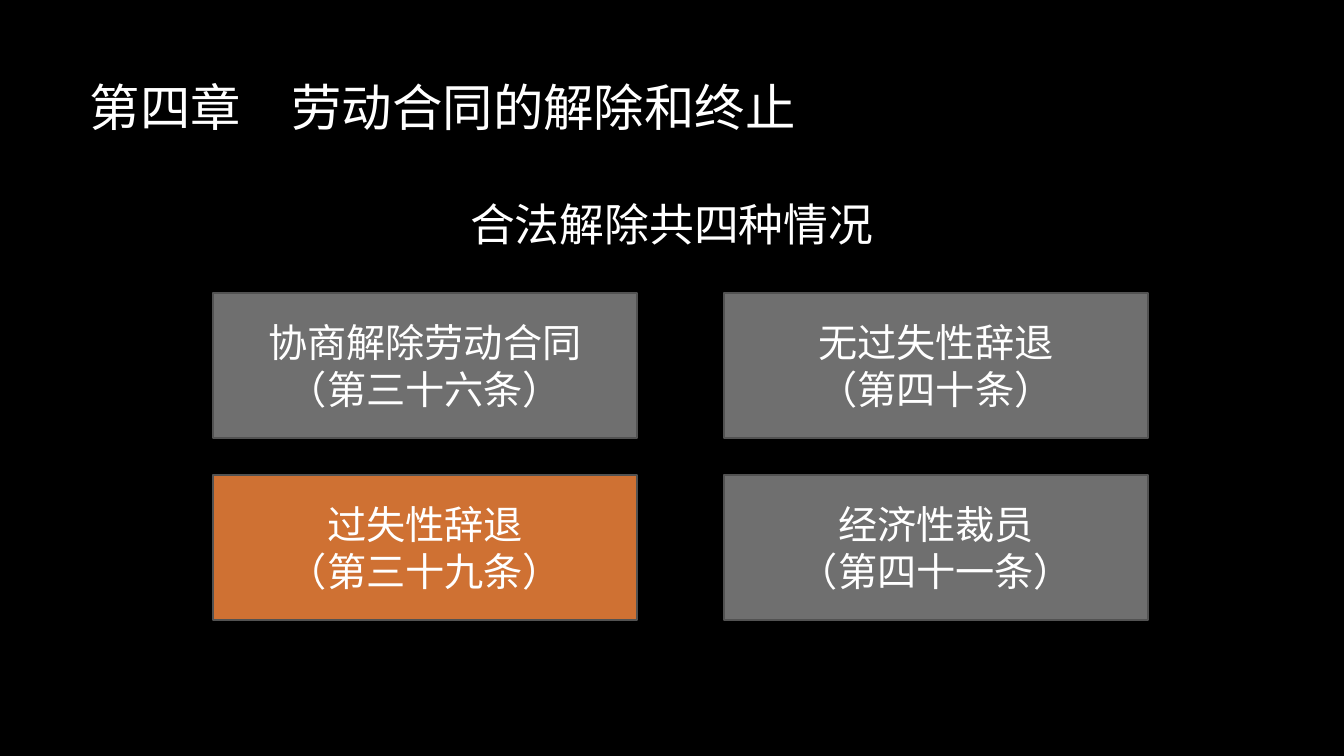
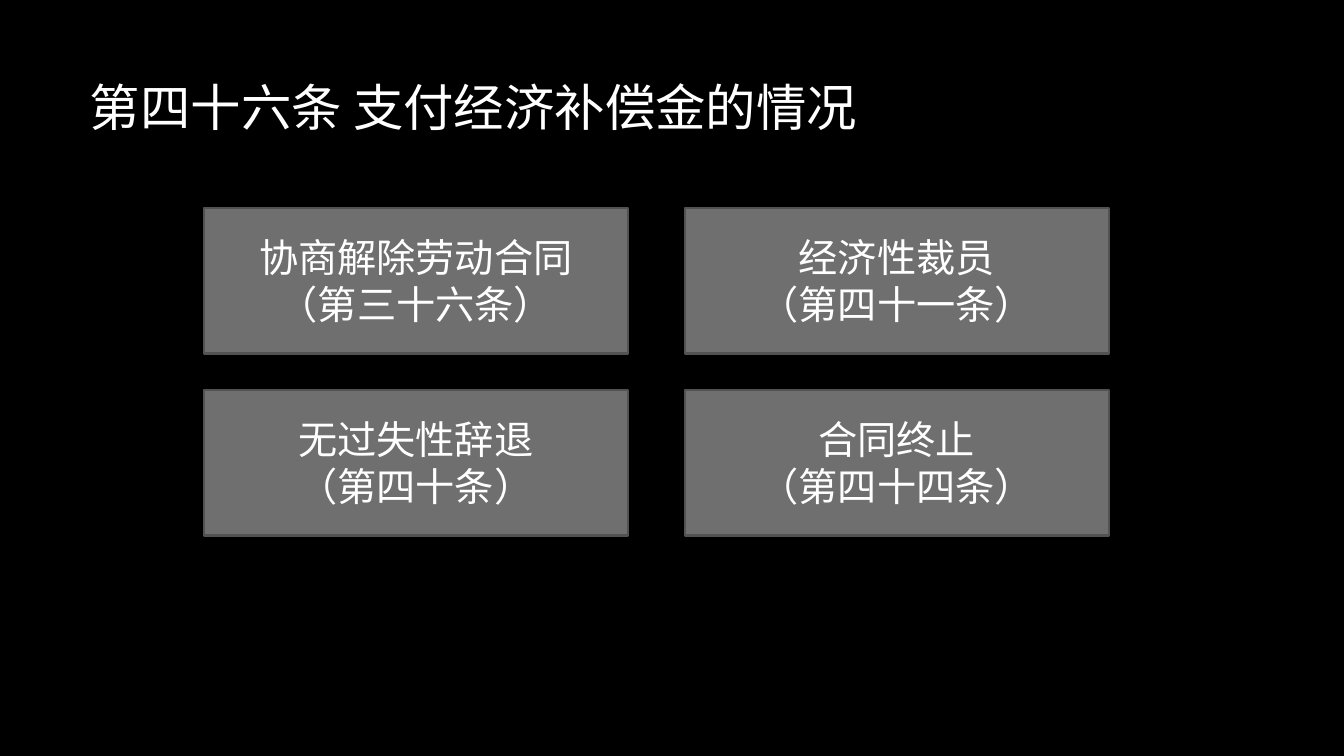
import pptx
import pptx.util
import pptx.dml.color
import pptx.enum.shapes
import pptx.enum.text
import pptx.oxml.ns
import lxml.etree

Pt = pptx.util.Pt
RGBColor = pptx.dml.color.RGBColor
ALIGN = pptx.enum.text.PP_ALIGN
ANCHOR = pptx.enum.text.MSO_ANCHOR

# Content: boxes run column by column
SLIDES = [
    {
        "title": "第四章　劳动合同的解除和终止",
        "subtitle": "合法解除共四种情况",
        "boxes": [
            ("协商解除劳动合同", "（第三十六条）"),
            ("过失性辞退", "（第三十九条）"),
            ("无过失性辞退", "（第四十条）"),
            ("经济性裁员", "（第四十一条）"),
        ],
        "highlight": "过失性辞退",
        "grid": {"left": 152, "top": 209, "gap": 62},
    },
    {
        "title": "第四十六条 支付经济补偿金的情况",
        "boxes": [
            ("协商解除劳动合同", "（第三十六条）"),
            ("无过失性辞退", "（第四十条）"),
            ("经济性裁员", "（第四十一条）"),
            ("合同终止", "（第四十四条）"),
        ],
        "grid": {"left": 145.5, "top": 148.5, "gap": 40.5},
    },
]

# Shared style
BLACK = RGBColor(0x00, 0x00, 0x00)
WHITE = RGBColor(0xFF, 0xFF, 0xFF)
GREY = RGBColor(0x6F, 0x6F, 0x6F)
ORANGE = RGBColor(0xCF, 0x71, 0x33)
OUTLINE = RGBColor(0x52, 0x52, 0x52)
FONT = "Noto Sans CJK SC"
SLIDE_W, SLIDE_H = 960, 540
BOX_W, BOX_H, ROW_GAP = 303, 104, 26
ROWS = 2
TITLE_AT = (57, 50.4, 846, 51)
SUBTITLE_AT = (327.5, 137, 305, 46)
TITLE = {"size": 36, "align": ALIGN.LEFT, "anchor": ANCHOR.TOP}
SUBTITLE = {"size": 32, "align": ALIGN.CENTER, "anchor": ANCHOR.TOP}
BOX = {"size": 28, "align": ALIGN.CENTER, "anchor": ANCHOR.MIDDLE}


def write(sp, lines, style):
    tf = sp.text_frame
    frame = {"word_wrap": True, "vertical_anchor": style["anchor"],
             "auto_size": pptx.enum.text.MSO_AUTO_SIZE.NONE}
    for name, value in frame.items():
        setattr(tf, name, value)
    for i, line in enumerate(lines):
        p = tf.add_paragraph() if i else tf.paragraphs[0]
        p.alignment = style["align"]
        r = p.add_run()
        r.text = line
        for name, value in {"name": FONT, "size": Pt(style["size"]), "bold": False}.items():
            setattr(r.font, name, value)
        r.font.color.rgb = WHITE
        # East Asian typeface
        ea = lxml.etree.SubElement(r.font._element, pptx.oxml.ns.qn("a:ea"))
        ea.set("typeface", FONT)


def add_box(s, x, y, lines, color):
    sp = s.shapes.add_shape(pptx.enum.shapes.MSO_SHAPE.RECTANGLE,
                            Pt(x), Pt(y), Pt(BOX_W), Pt(BOX_H))
    sp.shadow.inherit = False
    sp.fill.solid()
    sp.fill.fore_color.rgb = color
    sp.line.color.rgb = OUTLINE
    sp.line.width = Pt(1.5)
    write(sp, lines, BOX)


def add_slide(prs, content):
    s = prs.slides.add_slide(prs.slide_layouts.get_by_name("Title Only"))

    # Title and optional subtitle
    title = s.shapes.title
    for name, value in zip(("left", "top", "width", "height"), TITLE_AT):
        setattr(title, name, Pt(value))
    write(title, [content["title"]], TITLE)
    if "subtitle" in content:
        subtitle = s.shapes.add_textbox(*map(Pt, SUBTITLE_AT))
        write(subtitle, [content["subtitle"]], SUBTITLE)

    # Box grid
    grid = content["grid"]
    for i, lines in enumerate(content["boxes"]):
        col, row = divmod(i, ROWS)
        x = grid["left"] + col * (BOX_W + grid["gap"])
        y = grid["top"] + row * (BOX_H + ROW_GAP)
        color = ORANGE if lines[0] == content.get("highlight") else GREY
        add_box(s, x, y, lines, color)


def main():
    prs = pptx.Presentation()
    prs.slide_width, prs.slide_height = Pt(SLIDE_W), Pt(SLIDE_H)
    background = prs.slide_master.background.fill
    background.solid()
    background.fore_color.rgb = BLACK
    for content in SLIDES:
        add_slide(prs, content)
    prs.save("out.pptx")


if __name__ == "__main__":
    main()
